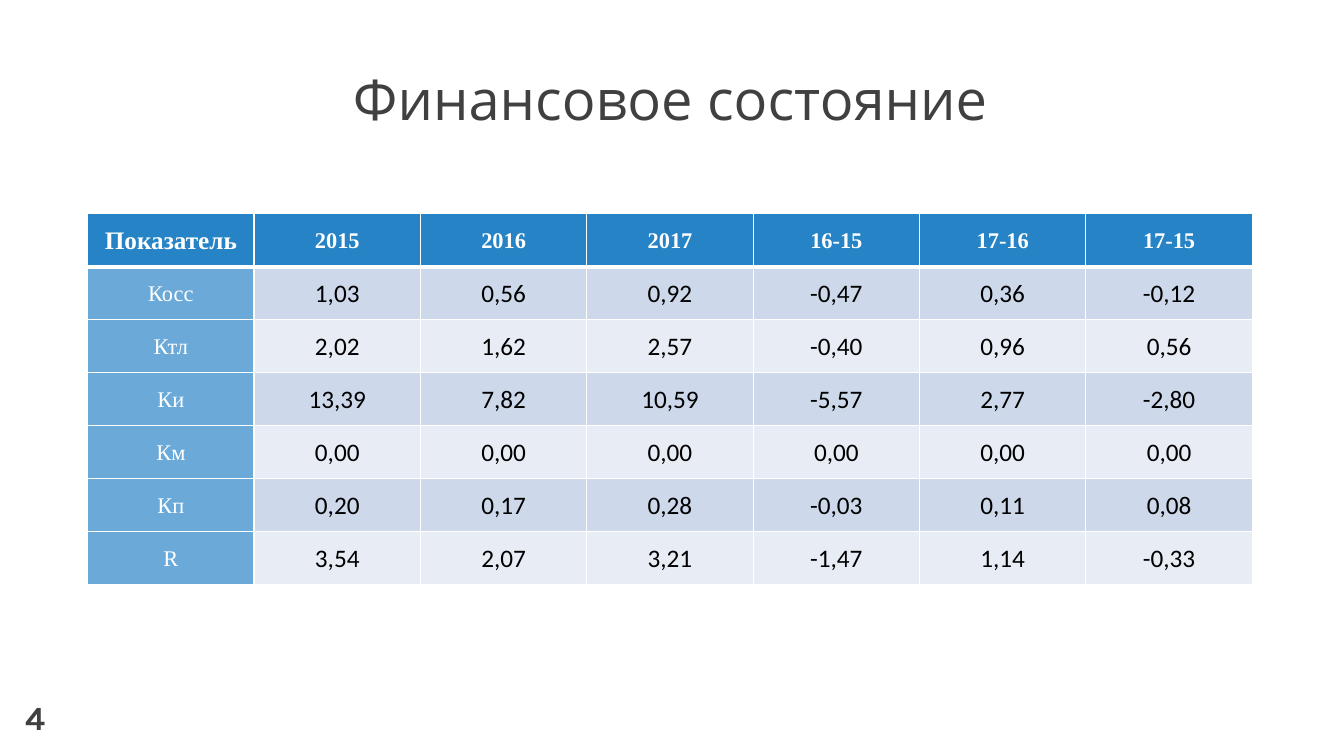
from lxml.etree import SubElement
from pptx import Presentation
from pptx.dml.color import RGBColor
from pptx.enum.text import MSO_ANCHOR, MSO_AUTO_SIZE, PP_ALIGN
from pptx.oxml.ns import qn
from pptx.util import Inches, Pt

WHITE = RGBColor(0xFF, 0xFF, 0xFF)
BLACK = RGBColor(0x00, 0x00, 0x00)
CHARCOAL = RGBColor(0x40, 0x40, 0x40)
BLUE = RGBColor(0x26, 0x83, 0xC6)
DARK_BAND = RGBColor(0xCD, 0xD9, 0xEA)
LIGHT_BAND = RGBColor(0xE8, 0xED, 0xF5)

LABEL_OPACITY = 68
CONTENT_LEFT, CONTENT_WIDTH = Inches(0.87), Inches(11.55)

INDICATORS = [
    ["Показатель", "2015", "2016", "2017", "16-15", "17-16", "17-15"],
    ["Косс", "1,03", "0,56", "0,92", "-0,47", "0,36", "-0,12"],
    ["Ктл", "2,02", "1,62", "2,57", "-0,40", "0,96", "0,56"],
    ["Ки", "13,39", "7,82", "10,59", "-5,57", "2,77", "-2,80"],
    ["Км", "0,00", "0,00", "0,00", "0,00", "0,00", "0,00"],
    ["Кп", "0,20", "0,17", "0,28", "-0,03", "0,11", "0,08"],
    ["R", "3,54", "2,07", "3,21", "-1,47", "1,14", "-0,33"],
]


def write(frame, text, font_name, size, color, bold=False, align=None, spacing=None):
    """Put one formatted paragraph into a text frame."""
    frame.text = text
    paragraph = frame.paragraphs[0]
    paragraph.alignment = align
    paragraph.line_spacing = spacing
    font = paragraph.runs[0].font
    font.name, font.size, font.bold = font_name, Pt(size), bold
    font.color.rgb = color


def add_borders(cell, top, bottom):
    """Draw white cell borders with the given top and bottom widths in points."""
    properties = cell._tc.get_or_add_tcPr()
    for side, width in (("L", 1), ("R", 1), ("T", top), ("B", bottom)):
        line = SubElement(properties, qn(f"a:ln{side}"), w=str(Pt(width)))
        fill = SubElement(line, qn("a:solidFill"))
        SubElement(fill, qn("a:srgbClr"), val=str(WHITE))


def fill_cell(cell, color, opacity=100):
    """Fill a cell with a colour of the given opacity in percent."""
    cell.fill.solid()
    cell.fill.fore_color.rgb = color
    if opacity < 100:
        color_element = cell._tc.tcPr.find(qn("a:solidFill")).find(qn("a:srgbClr"))
        SubElement(color_element, qn("a:alpha"), val=str(opacity * 1000))


def format_cell(cell, text, row, column):
    """Write and style one cell according to its place in the table."""
    cell.margin_left = cell.margin_right = Inches(0.03)
    cell.margin_top = cell.margin_bottom = 0
    cell.vertical_anchor = MSO_ANCHOR.MIDDLE
    add_borders(cell, top=3 if row == 1 else 1, bottom=3 if row == 0 else 1)

    is_heading = row == 0 or column == 0
    if is_heading:
        fill_cell(cell, BLUE, 100 if row == 0 else LABEL_OPACITY)
    else:
        fill_cell(cell, DARK_BAND if row % 2 else LIGHT_BAND)
    is_corner = row == 0 and column == 0
    write(cell.text_frame, text,
          "Times New Roman" if is_heading else "Calibri",
          16 if is_heading and not is_corner else 18,
          WHITE if is_heading else BLACK,
          bold=row == 0, align=PP_ALIGN.CENTER, spacing=1.07)


def add_title(slide, left, top, width, height):
    """Place the slide heading in its placeholder."""
    title = slide.shapes.title
    title.left, title.top, title.width, title.height = left, top, width, height
    title.text_frame.vertical_anchor = MSO_ANCHOR.BOTTOM
    write(title.text_frame, "Финансовое состояние", "Open Sans", 40, CHARCOAL,
          align=PP_ALIGN.CENTER, spacing=0.9)


def add_indicators(slide, left, top, width, height):
    """Fill the box with an even grid of financial indicators."""
    row_count, column_count = len(INDICATORS), len(INDICATORS[0])
    table = slide.shapes.add_table(
        row_count, column_count, left, top, width, height).table
    for row, values in enumerate(INDICATORS):
        for column, text in enumerate(values):
            format_cell(table.cell(row, column), text, row, column)


def add_page_number(slide, left, top, width, height):
    """Place the page number in its box."""
    frame = slide.shapes.add_textbox(left, top, width, height).text_frame
    frame.word_wrap = True
    frame.auto_size = MSO_AUTO_SIZE.SHAPE_TO_FIT_TEXT
    write(frame, "4", "Karla", 24, CHARCOAL, bold=True)


def main():
    """Build the financial condition slide."""
    presentation = Presentation()
    presentation.slide_width = Inches(13.33)
    presentation.slide_height = Inches(7.5)
    slide = presentation.slides.add_slide(presentation.slide_layouts[5])
    add_title(slide, CONTENT_LEFT, Inches(0.13), CONTENT_WIDTH, Inches(1.24))
    add_indicators(slide, CONTENT_LEFT, Inches(2.12), CONTENT_WIDTH, Inches(3.68))
    add_page_number(slide, Inches(0.15), Inches(6.86), Inches(0.37), Inches(0.5))
    presentation.save("out.pptx")


if __name__ == "__main__":
    main()
